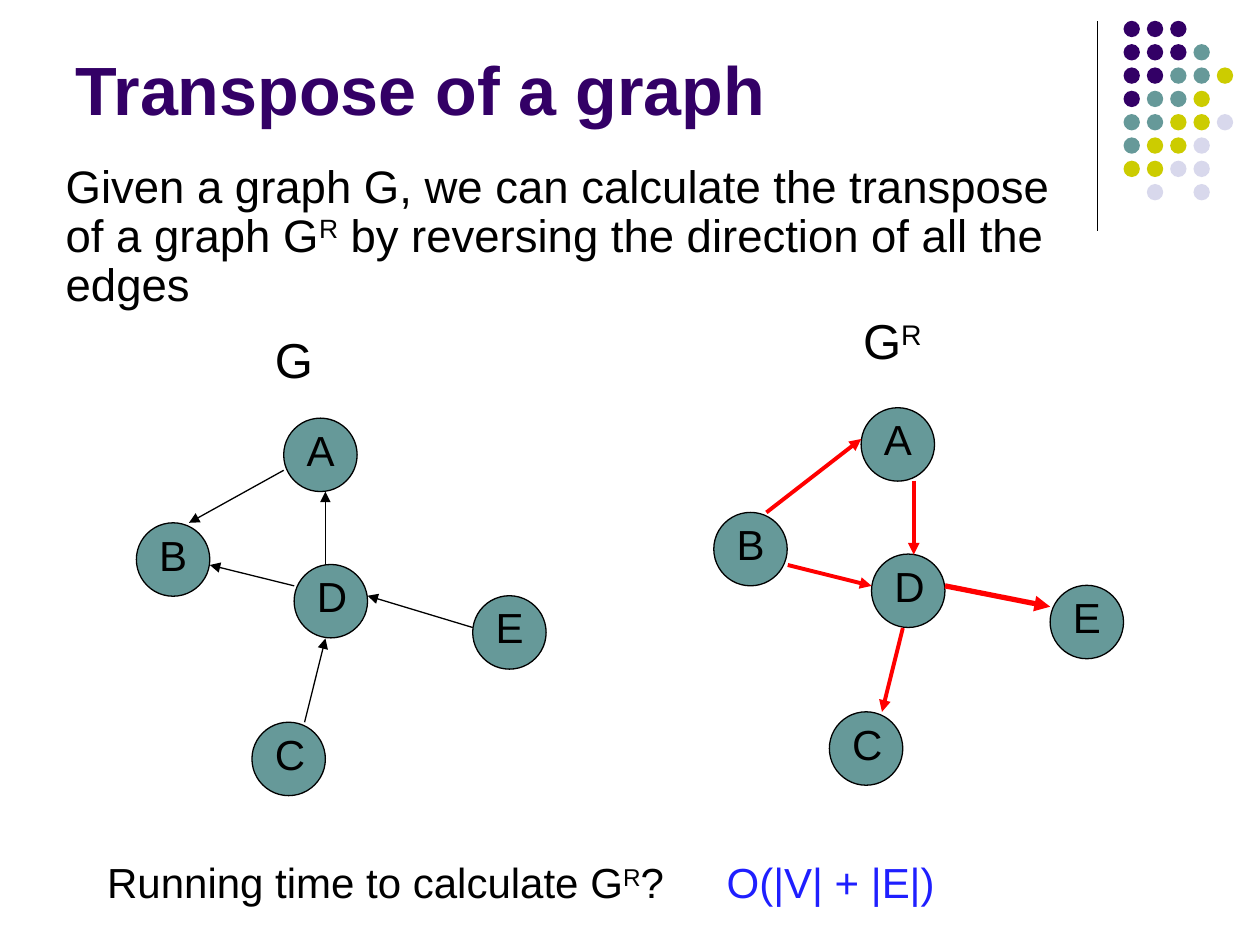
from lxml import etree
from pptx import Presentation
from pptx.dml.color import RGBColor
from pptx.enum.shapes import MSO_CONNECTOR, MSO_SHAPE
from pptx.enum.text import MSO_ANCHOR, MSO_AUTO_SIZE, PP_ALIGN
from pptx.oxml.ns import qn
from pptx.util import Cm, Pt

PURPLE = RGBColor(0x33, 0x00, 0x66)
TEAL = RGBColor(0x66, 0x99, 0x99)
OLIVE = RGBColor(0xCC, 0xCC, 0x00)
LAVENDER = RGBColor(0xD8, 0xD8, 0xEC)
BLACK = RGBColor(0, 0, 0)
RED = RGBColor(0xFF, 0, 0)
BLUE = RGBColor(0x1F, 0x1F, 0xFF)

# All positions and sizes are in centimetres.
# In run lists every second run is a superscript.
TITLE = ["Transpose of a graph"]
BODY = ["Given a graph G, we can calculate the transpose of a graph G", "R",
        " by reversing the direction of all the edges"]
CAPTIONS = [  # runs, box, size, colour
    (["G"], (5.29, 6.52, 2.75, 1.45), 28, BLACK),
    (["G", "R"], (17.15, 6.14, 2.75, 1.45), 28, BLACK),
    (["Running time to calculate G", "R", "?"], (1.91, 17.15, 12.49, 1.27), 24, BLACK),
    (["O(|V| + |E|)"], (14.4, 17.15, 4.87, 1.27), 24, BLUE),
]

DOT_COLORS = {"P": PURPLE, "T": TEAL, "O": OLIVE, "L": LAVENDER}
DOT_ROWS = ["PPP", "PPPT", "PPTTO", "PTTO", "TTOOL", "TOOL", "OOLL", ".L.L"]
DOT_LEFT, DOT_TOP, DOT_PITCH, DOT_SIZE = 22.65, 0.42, 0.47, 0.33

NODE_SIZE, LABEL_INDENT, LABEL_SIZE = 1.48, 0.21, 1.27
NODES = {"A": (5.72, 8.43), "B": (2.75, 10.54), "C": (5.08, 14.56),
         "E": (9.53, 12.01), "D": (5.93, 11.38)}
GRAPHS = [  # node offset, edge colour, edges as (x1, y1, x2, y2, width)
    ((0, 0), BLACK, [
        (5.72, 9.48, 3.81, 10.54, 0.75),
        (6.56, 11.38, 6.56, 9.91, 0.75),
        (5.93, 11.81, 4.23, 11.39, 0.75),
        (6.14, 14.56, 6.56, 12.87, 0.75),
        (9.53, 12.65, 7.41, 12.01, 0.75)]),
    ((11.64, -0.21), RED, [
        (15.45, 10.33, 17.36, 8.85, 2.25),
        (15.88, 11.39, 17.57, 11.81, 2.25),
        (18.42, 9.69, 18.42, 11.18, 2.25),
        (18.2, 12.66, 17.78, 14.35, 2.25),
        (19.05, 11.81, 21.17, 12.23, 3)]),
]


def write(tf, runs, **font):
    p = tf.paragraphs[0]
    p.alignment = PP_ALIGN.LEFT
    color = font.pop("color")
    for i, text in enumerate(runs):
        r = p.add_run()
        r.text = text
        for name, value in {"name": "Arial", **font}.items():
            setattr(r.font, name, value)
        r.font.color.rgb = color
        if i % 2:
            r._r.get_or_add_rPr().set("baseline", "30000")
    return p


def place(sp, box):
    for name, value in zip(("left", "top", "width", "height"), box):
        setattr(sp, name, Cm(value))


def add_text(shapes, runs, box, size, color):
    tf = shapes.add_textbox(*map(Cm, box)).text_frame
    tf.word_wrap = True
    tf.auto_size = MSO_AUTO_SIZE.SHAPE_TO_FIT_TEXT
    write(tf, runs, size=Pt(size), color=color)


def add_circle(shapes, x, y, size, fill, line=None):
    sp = shapes.add_shape(MSO_SHAPE.OVAL, *map(Cm, (x, y, size, size)))
    sp.shadow.inherit = False
    sp.fill.solid()
    sp.fill.fore_color.rgb = fill
    if line is None:
        sp.line.fill.background()
    else:
        sp.line.color.rgb = line
        sp.line.width = Pt(0.75)


def add_line(shapes, x1, y1, x2, y2, width, color, arrow=True):
    cx = shapes.add_connector(MSO_CONNECTOR.STRAIGHT, *map(Cm, (x1, y1, x2, y2)))
    cx.line.color.rgb = color
    cx.line.width = Pt(width)
    if arrow:
        etree.SubElement(cx.line._get_or_add_ln(), qn("a:tailEnd"), type="triangle")
    etree.SubElement(cx._element.spPr, qn("a:effectLst"))


def add_dots(shapes):
    group = shapes.add_group_shape()
    for row, codes in enumerate(DOT_ROWS):
        for col, code in enumerate(codes):
            if code in DOT_COLORS:
                add_circle(group.shapes, DOT_LEFT + col * DOT_PITCH,
                           DOT_TOP + row * DOT_PITCH, DOT_SIZE, DOT_COLORS[code])


def add_graph(shapes, offset, color, edges):
    for label, (x, y) in NODES.items():
        x, y = x + offset[0], y + offset[1]
        node = shapes.add_group_shape().shapes
        add_circle(node, x, y, NODE_SIZE, TEAL, BLACK)
        add_text(node, [label], (x + LABEL_INDENT, y, LABEL_SIZE, LABEL_SIZE), 24, BLACK)
    for edge in edges:
        add_line(shapes, *edge, color)


def main():
    prs = Presentation()
    prs.slide_width, prs.slide_height = Cm(25.4), Cm(19.05)
    s = prs.slides.add_slide(prs.slide_layouts[1])
    title, body = s.placeholders

    place(title, (1.27, 0.33, 20.95, 2.41))
    title.text_frame.vertical_anchor = MSO_ANCHOR.BOTTOM
    write(title.text_frame, TITLE, size=Pt(39), bold=True, color=PURPLE)

    place(body, (1.07, 3.18, 20.75, 3.28))
    p = write(body.text_frame, BODY, size=Pt(26), color=BLACK)
    p.line_spacing = 0.9
    p.space_before = Pt(0)
    pPr = p._p.get_or_add_pPr()
    pPr.set("marL", "0")
    pPr.set("indent", "0")
    etree.SubElement(pPr, qn("a:buNone"))
    for sp in (title, body):
        sp.text_frame.auto_size = MSO_AUTO_SIZE.NONE

    add_line(s.shapes, 22.12, 0.43, 22.12, 4.65, 0.75, BLACK, arrow=False)
    add_dots(s.shapes)
    for graph in GRAPHS:
        add_graph(s.shapes, *graph)
    for caption in CAPTIONS:
        add_text(s.shapes, *caption)
    prs.save("out.pptx")


if __name__ == "__main__":
    main()
